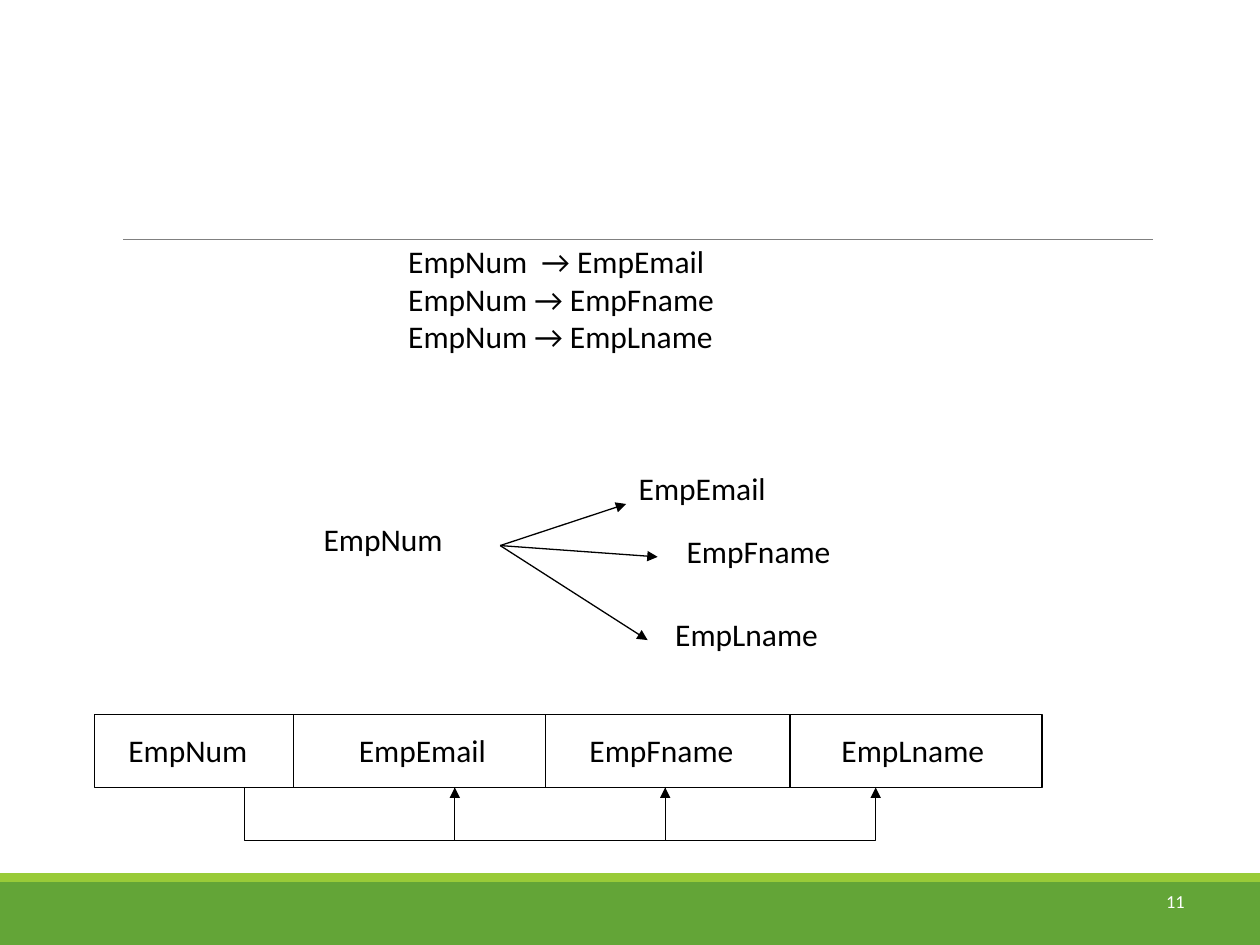
from dataclasses import dataclass

from lxml import etree
from pptx import Presentation
from pptx.dml.color import RGBColor
from pptx.enum import shapes, text
from pptx.oxml import ns
from pptx.util import Inches, Pt


@dataclass(frozen=True)
class Theme:
    font: str = "Calibri"
    body: Pt = Pt(18)
    small: Pt = Pt(10.5)
    stroke: Pt = Pt(0.75)
    hairline: Pt = Pt(0.5)
    ink: RGBColor = RGBColor(0, 0, 0)
    paper: RGBColor = RGBColor(255, 255, 255)
    rule: RGBColor = RGBColor(0x80, 0x80, 0x80)
    green: RGBColor = RGBColor(0x63, 0xA5, 0x37)
    lime: RGBColor = RGBColor(0x99, 0xCB, 0x38)


theme = Theme()
deck = Presentation()
deck.slide_width, deck.slide_height = Inches(10), Inches(7.5)
page = deck.slides.add_slide(deck.slide_layouts[6])


def add_text(lines, left, top, width, height, size=theme.body, color=theme.ink):
    box = page.shapes.add_textbox(Inches(left), Inches(top), Inches(width), Inches(height))
    box.text_frame.word_wrap = True
    box.text_frame.text = "\n".join(lines)
    for para in box.text_frame.paragraphs:
        para.font.name = theme.font
        para.font.size = size
        para.font.color.rgb = color
    return box.text_frame


def style_line(shape, color=theme.ink, width=theme.stroke, arrow=False):
    """Set the outline, drop the shadow and optionally end in an arrowhead."""
    shape.line.color.rgb = color
    shape.line.width = width
    properties = shape._element.spPr
    if arrow:
        head = etree.SubElement(shape.line._get_or_add_ln(), ns.qn("a:tailEnd"))
        head.set("type", "triangle")
    if properties.find(ns.qn("a:effectLst")) is None:
        etree.SubElement(properties, ns.qn("a:effectLst"))


# Footer bands, header rule and page number
for top, height, color in [(7, 0.5, theme.green), (6.93, 0.07, theme.lime)]:
    band = page.shapes.add_shape(
        shapes.MSO_SHAPE.RECTANGLE, 0, Inches(top), deck.slide_width, Inches(height))
    band.shadow.inherit = False
    band.fill.solid()
    band.fill.fore_color.rgb = color
    band.line.fill.background()

header_rule = page.shapes.add_connector(
    shapes.MSO_CONNECTOR.STRAIGHT, Inches(0.98), Inches(1.9), Inches(9.15), Inches(1.9))
style_line(header_rule, theme.rule, theme.hairline)

number = add_text(["11"], 7.17, 6.95, 2.33, 0.4, theme.small, theme.paper)
number.vertical_anchor = text.MSO_ANCHOR.MIDDLE
number.paragraphs[0].alignment = text.PP_ALIGN.RIGHT

# Dependencies in arrow notation
notation = add_text(
    ["EmpNum  → EmpEmail", "EmpNum → EmpFname", "EmpNum → EmpLname"],
    2.08, 1.87, 4.71, 1.3)
notation.margin_left = Inches(1.16)

# Dependencies fanning out from the key
add_text(["EmpNum"], 2.47, 4.08, 1.5, 0.5)
fan = [
    ("EmpEmail", 4.97, 3.67, 4.97, 4),
    ("EmpFname", 5.35, 4.17, 5.22, 4.42),
    ("EmpLname", 5.26, 4.83, 5.14, 5.08),
]
for name, left, top, tip_x, tip_y in fan:
    add_text([name], left, top, 1.75, 0.5)
    arrow = page.shapes.add_connector(
        shapes.MSO_CONNECTOR.STRAIGHT,
        Inches(3.97), Inches(4.33), Inches(tip_x), Inches(tip_y))
    style_line(arrow, arrow=True)

# Relation drawn as a row of attributes
row_top, row_height = 5.67, 0.58
cell_left = 0.75
attributes = [
    ("EmpNum", 1.58, 0.92),
    ("EmpEmail", 2, 2.75),
    ("EmpFname", 1.94, 4.58),
    ("EmpLname", 2, 6.58),
]
for name, width, label_left in attributes:
    cell = page.shapes.add_shape(
        shapes.MSO_SHAPE.RECTANGLE,
        Inches(cell_left), Inches(row_top), Inches(width), Inches(row_height))
    cell.fill.background()
    style_line(cell)
    add_text([name], label_left, 5.75, 1.5, 0.4)
    cell_left += width

# Brackets linking each attribute to the next
bracket_top, bracket_bottom, step = 6.25, 6.67, 1.67
for index in range(3):
    start = 1.94 + index * step
    end = start + step
    outline = page.shapes.build_freeform(Inches(start), Inches(bracket_top))
    corners = [(start, bracket_bottom), (end, bracket_bottom), (end, bracket_top)]
    outline.add_line_segments([(Inches(x), Inches(y)) for x, y in corners], close=False)
    bracket = outline.convert_to_shape()
    bracket.fill.background()
    style_line(bracket, arrow=True)

deck.save("out.pptx")
